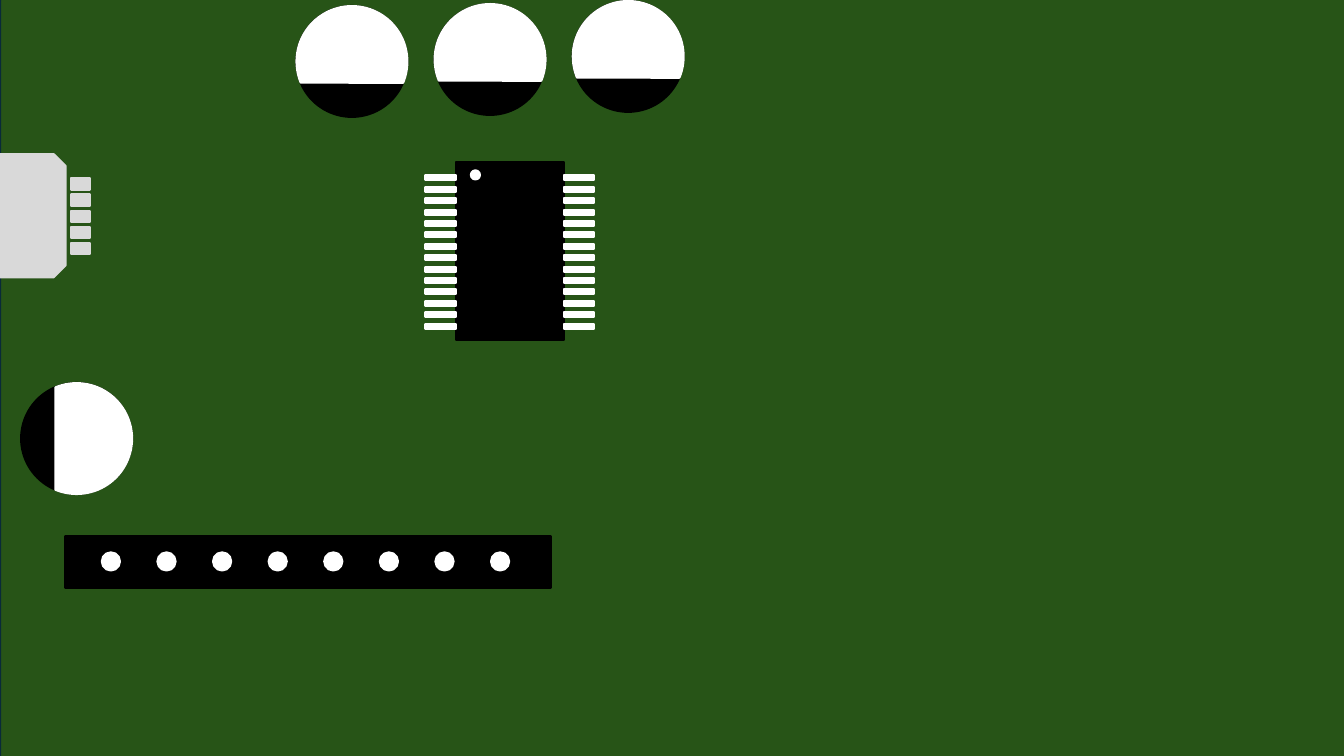
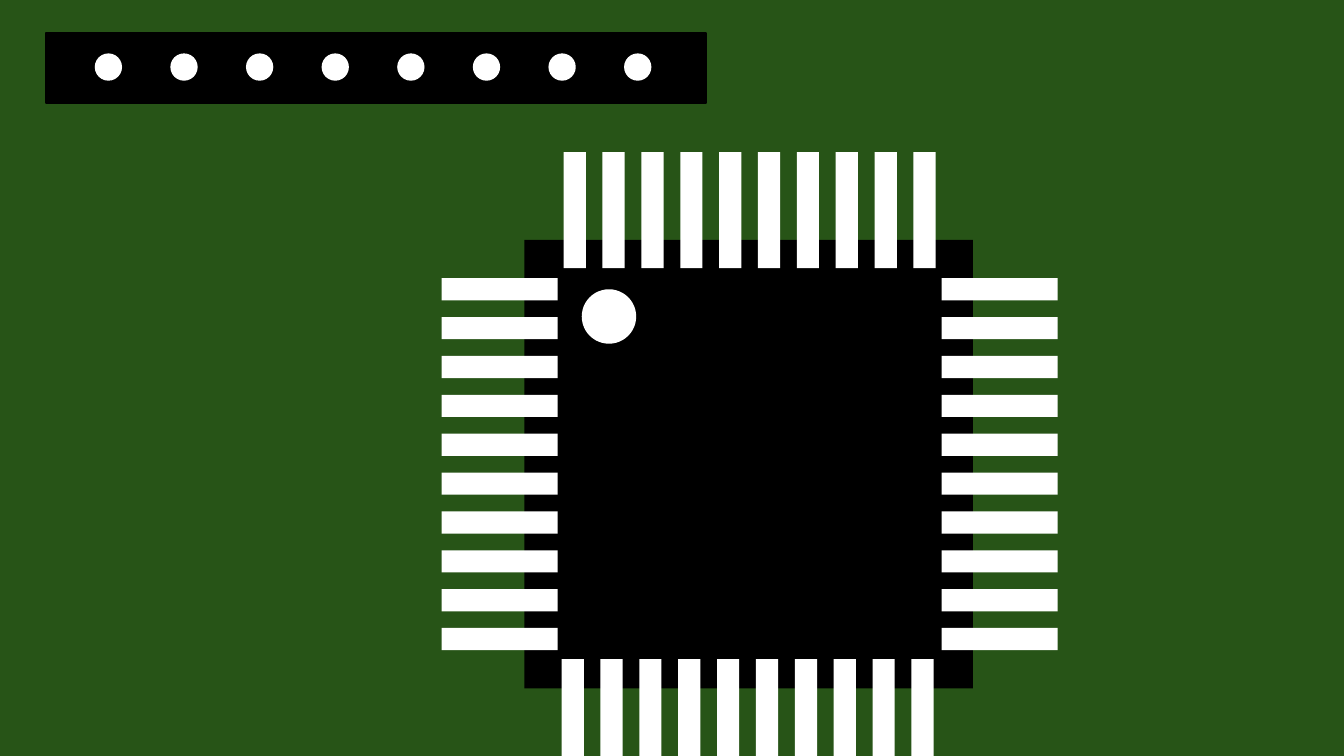
from collections.abc import Iterator
from dataclasses import dataclass, replace

from pptx import Presentation
from pptx.dml.color import RGBColor
from pptx.enum.dml import MSO_LINE
from pptx.enum.shapes import MSO_SHAPE
from pptx.shapes.autoshape import Shape
from pptx.slide import Slide
from pptx.util import Inches, Pt

BOARD_GREEN = RGBColor(0x27, 0x54, 0x17)
BOARD_EDGE = RGBColor(0x09, 0x2A, 0x39)
BLACK = RGBColor(0x00, 0x00, 0x00)
WHITE = RGBColor(0xFF, 0xFF, 0xFF)
METAL = RGBColor(0xD9, 0xD9, 0xD9)

OUTLINE = {"width": Pt(1.5), "dash_style": MSO_LINE.SOLID}
CAPACITOR_SIZE = 1.1
CHORD_TURN = 112.6


@dataclass(frozen=True)
class Part:
    """One flat shape; lengths are in inches."""

    left: float
    top: float
    width: float
    height: float
    colour: RGBColor = WHITE
    preset: MSO_SHAPE = MSO_SHAPE.RECTANGLE
    rotation: float = 0
    outlined: bool = True


def spread(first: float, last: float, count: int) -> Iterator[float]:
    step = (last - first) / (count - 1)
    return (first + index * step for index in range(count))


def row(first: Part, last_left: float, count: int) -> list[Part]:
    return [replace(first, left=left) for left in spread(first.left, last_left, count)]


def column(first: Part, last_top: float, count: int) -> list[Part]:
    return [replace(first, top=top) for top in spread(first.top, last_top, count)]


def draw_part(shapes, part: Part) -> Shape:
    """Add a part to the shapes of a slide or a group."""
    lengths = (part.left, part.top, part.width, part.height)
    drawn = shapes.add_shape(part.preset, *map(Inches, lengths))
    drawn.rotation = part.rotation
    drawn.shadow.inherit = False
    drawn.fill.solid()
    drawn.fill.fore_color.rgb = part.colour
    if part.outlined:
        drawn.line.color.rgb = part.colour
        for attribute, value in OUTLINE.items():
            setattr(drawn.line, attribute, value)
    else:
        drawn.line.fill.background()
    return drawn


def draw_component(slide: Slide, parts: list[Part]) -> None:
    """Draw the parts, back to front, as one group."""
    group = slide.shapes.add_group_shape()
    for part in parts:
        draw_part(group.shapes, part)


def pin_header(body: Part, first_hole: Part, last_left: float) -> list[Part]:
    return [body, *row(first_hole, last_left, 8)]


def capacitor(left: float, top: float, turn: float = 0) -> list[Part]:
    can = Part(left, top, CAPACITOR_SIZE, CAPACITOR_SIZE, BLACK, MSO_SHAPE.OVAL)
    cap = replace(can, colour=WHITE, preset=MSO_SHAPE.CHORD, rotation=CHORD_TURN + turn)
    return [can, cap]


def two_sided_chip() -> list[Part]:
    pin = Part(4.22, 1.74, 0.3, 0.05)
    return [
        Part(4.52, 1.61, 1.07, 1.76, BLACK),
        *column(pin, 3.21, 14),
        *column(replace(pin, left=5.59), 3.21, 14),
        Part(4.67, 1.69, 0.09, 0.09, preset=MSO_SHAPE.OVAL),
    ]


def four_sided_chip() -> list[Part]:
    side_pin = Part(9.34, 2.76, 1.15, 0.22)
    end_pin = Part(5.59, 1.51, 0.22, 1.15)
    parts = [
        Part(5.2, 2.38, 4.45, 4.45, BLACK),
        *column(side_pin, 6.23, 10),
        *column(replace(side_pin, left=4.38), 6.23, 10),
        *row(end_pin, 9.06, 10),
        *row(replace(end_pin, left=5.57, top=6.54), 9.04, 10),
        Part(5.77, 2.87, 0.54, 0.54, preset=MSO_SHAPE.OVAL),
    ]
    return [replace(part, outlined=False) for part in parts]


def usb_socket() -> list[Part]:
    shell = Part(-0.31, 1.79, 1.22, 0.7, METAL, MSO_SHAPE.SNIP_2_SAME_RECTANGLE, 90)
    contact = Part(0.7, 1.77, 0.19, 0.11, METAL)
    return [shell, *column(contact, 2.41, 5)]


def draw_small_board(slide: Slide) -> None:
    board = draw_part(
        slide.shapes,
        Part(0, -0.41, 13.75, 8.34, BOARD_GREEN, MSO_SHAPE.ROUNDED_RECTANGLE),
    )
    board.adjustments[0] = 0.054
    board.line.color.rgb = BOARD_EDGE
    components = [
        two_sided_chip(),
        pin_header(
            Part(0.65, 5.32, 4.81, 0.51, BLACK),
            Part(1.01, 5.48, 0.18, 0.18, preset=MSO_SHAPE.OVAL),
            4.87,
        ),
        capacitor(2.94, 0.06),
        capacitor(4.31, 0.04),
        capacitor(5.68, 0.01),
        capacitor(0.21, 3.8, turn=90),
        usb_socket(),
    ]
    for parts in components:
        draw_component(slide, parts)


def draw_large_board(slide: Slide) -> None:
    slide.background.fill.solid()
    slide.background.fill.fore_color.rgb = BOARD_GREEN
    header = pin_header(
        Part(0.46, 0.33, 6.54, 0.69, BLACK),
        Part(0.95, 0.54, 0.25, 0.25, preset=MSO_SHAPE.OVAL),
        6.2,
    )
    draw_component(slide, header)
    draw_component(slide, four_sided_chip())


def main() -> None:
    presentation = Presentation()
    presentation.slide_width = Inches(13.33)
    presentation.slide_height = Inches(7.5)
    blank = presentation.slide_layouts.get_by_name("Blank")
    for draw_board in (draw_small_board, draw_large_board):
        draw_board(presentation.slides.add_slide(blank))
    presentation.save("out.pptx")


if __name__ == "__main__":
    main()
